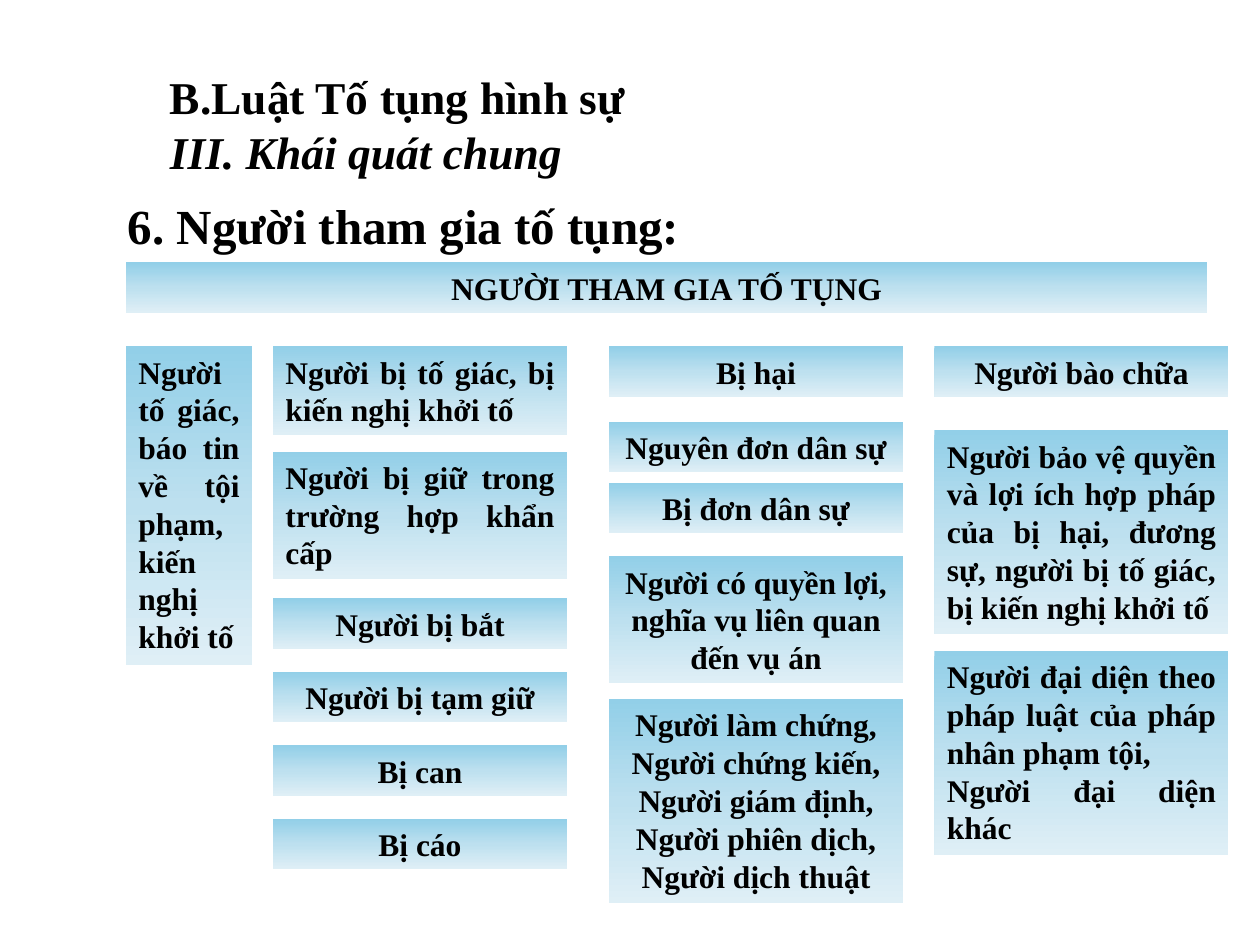
from copy import deepcopy
from dataclasses import dataclass

from pptx import Presentation
from pptx.dml.color import RGBColor as Rgb
from pptx.enum.shapes import MSO_SHAPE as Shape
from pptx.enum.text import MSO_ANCHOR as Anchor, MSO_AUTO_SIZE as Fit, PP_ALIGN as Align
from pptx.oxml.ns import qn
from pptx.util import Pt

PX = 7620
MID, JUST = Align.CENTER, Align.JUSTIFY


@dataclass(frozen=True)
class Theme:
    """Colours and type sizes of the slide."""
    face: str = "Times New Roman"
    ink: str = "000000"
    fade: tuple = ("92CFE8", "BDE0EF", "DFEFF6")
    title: int = 26
    head: int = 28
    body: int = 18


THEME = Theme()


def scale(*box):
    """Turn px lengths into EMU."""
    return [n * PX for n in box]


def write(frame, lines, size, align):
    """Fill a text frame with one bold paragraph per line."""
    frame.word_wrap = True
    frame.vertical_anchor = Anchor.TOP
    frame.text = "\n".join(lines)
    for para in frame.paragraphs:
        para.alignment = align
        font = para.font
        font.name, font.size, font.bold = THEME.face, Pt(size), True
        font.color.rgb = Rgb.from_string(THEME.ink)
    return frame.paragraphs


def shade(shape):
    """Give a shape the even downward fade of the theme."""
    fill = shape.fill
    fill.gradient()
    fill.gradient_angle = 270
    stops = shape.element.spPr.find(".//" + qn("a:gsLst"))
    stops.append(deepcopy(stops[0]))
    last = len(THEME.fade) - 1
    for i, (stop, tint) in enumerate(zip(fill.gradient_stops, THEME.fade)):
        stop.position = i / last
        stop.color.rgb = Rgb.from_string(tint)


def add_card(slide, box, lines, align):
    """Draw one shaded card with its text."""
    card = slide.shapes.add_shape(Shape.RECTANGLE, *scale(*box))
    card.shadow.inherit = False
    card.line.fill.background()
    shade(card)
    write(card.text_frame, lines, THEME.body, align)
    card.text_frame.auto_size = Fit.SHAPE_TO_FIT_TEXT


def add_text(slide, box, lines, size, margin, indent):
    """Place a justified text box with a left margin and first-line indent."""
    frame = slide.shapes.add_textbox(*scale(*box)).text_frame
    paras = write(frame, lines, size, JUST)
    for para in paras:
        props = para._p.get_or_add_pPr()
        props.set("marL", str(margin * PX))
        props.set("indent", str(indent * PX))
    return paras


def add_title(slide, box):
    """Write the title and the line beneath it, then the section heading."""
    x, y, w, h = box
    lines = ["B.Luật Tố tụng hình sự", "III. Khái quát chung"]
    paras = add_text(slide, (x + 40, y, w - 170, h - 45), lines, THEME.title, 60, 0)
    paras[1].font.italic = True
    lines = ["6. Người tham gia tố tụng:"]
    paras = add_text(slide, (x, y + 120, w, h - 120), lines, THEME.head, 0, 60)
    paras[0].space_before = Pt(4)


def add_stack(slide, box, cards):
    """Stack cards in a column, each at its drop from the top."""
    x, y, w = box
    for drop, rows, align, *lines in cards:
        tall = 12 + rows * 364 // 10
        add_card(slide, (x, y + drop, w, tall), lines, align)


STACKS = [
    ((120, 250, 1030), [(0, 1, MID, "NGƯỜI THAM GIA TỐ TỤNG")]),
    ((120, 330, 120), [
        (0, 8, JUST, "Người tố giác, báo tin về tội phạm, kiến nghị khởi tố"),
    ]),
    ((260, 330, 280), [
        (0, 2, JUST, "Người bị tố giác, bị kiến nghị khởi tố"),
        (100, 3, JUST, "Người bị giữ trong trường hợp khẩn cấp"),
        (240, 1, MID, "Người bị bắt"),
        (310, 1, MID, "Người bị tạm giữ"),
        (380, 1, MID, "Bị can"),
        (450, 1, MID, "Bị cáo"),
    ]),
    ((580, 330, 280), [
        (0, 1, MID, "Bị hại"),
        (72, 1, MID, "Nguyên đơn dân sự"),
        (130, 1, MID, "Bị đơn dân sự"),
        (200, 3, MID, "Người có quyền lợi, nghĩa vụ liên quan đến vụ án"),
        (336, 5, MID, "Người làm chứng, Người chứng kiến, Người giám định, "
                      "Người phiên dịch, Người dịch thuật"),
    ]),
    ((890, 330, 280), [
        (0, 1, MID, "Người bào chữa"),
        (80, 5, JUST, "Người bảo vệ quyền và lợi ích hợp pháp của bị hại, "
                      "đương sự, người bị tố giác, bị kiến nghị khởi tố"),
        (290, 5, JUST, "Người đại diện theo pháp luật của pháp nhân phạm tội,",
         "Người đại diện khác"),
    ]),
]


def main():
    """Build the slide and save it."""
    deck = Presentation()
    deck.slide_width, deck.slide_height = scale(1200, 900)
    slide = deck.slides.add_slide(deck.slide_layouts[6])
    add_title(slide, (50, 60, 1030, 210))
    for box, cards in STACKS:
        add_stack(slide, box, cards)
    deck.save("out.pptx")


if __name__ == "__main__":
    main()
